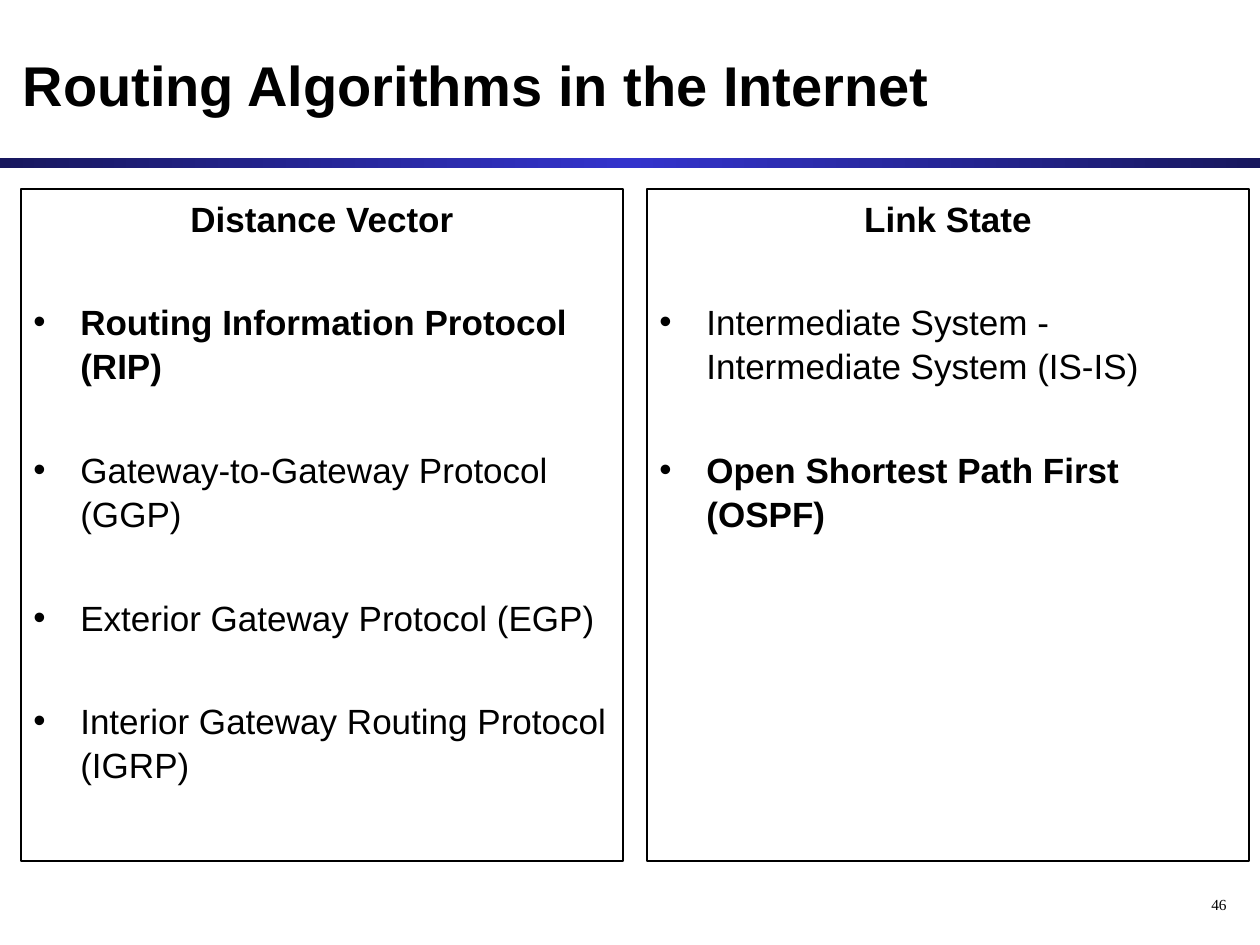
from copy import deepcopy

from lxml import etree
from pptx import Presentation
from pptx.dml.color import RGBColor
from pptx.enum.shapes import MSO_SHAPE
from pptx.enum.text import MSO_ANCHOR, MSO_AUTO_SIZE, PP_ALIGN
from pptx.oxml.ns import qn
from pptx.util import Pt

RECT = MSO_SHAPE.RECTANGLE
LEFT, CENTER, RIGHT = PP_ALIGN.LEFT, PP_ALIGN.CENTER, PP_ALIGN.RIGHT
TOP, MIDDLE = MSO_ANCHOR.TOP, MSO_ANCHOR.MIDDLE
BLACK, NAVY, BLUE = "000000", "18185E", "3333CC"
INDENT = 47

VECTOR = [
    ("Routing Information Protocol (RIP)", True),
    ("Gateway-to-Gateway Protocol (GGP)", False),
    ("Exterior Gateway Protocol (EGP)", False),
    ("Interior Gateway Routing Protocol (IGRP)", False),
]
STATE = [
    ("Intermediate System - Intermediate System (IS-IS)", False),
    ("Open Shortest Path First (OSPF)", True),
]


def px(n):
    return round(n * 914400 / 126)


def color(code):
    return RGBColor.from_string(code)


def add_bullet(para):
    props = para._p.get_or_add_pPr()
    props.set("marL", str(px(INDENT)))
    props.set("indent", str(-px(INDENT)))
    etree.SubElement(props, qn("a:buFont")).set("typeface", "Arial")
    etree.SubElement(props, qn("a:buChar")).set("char", "•")


def write(para, text, size=20, font="Arial", bold=False, align=LEFT,
          before=0, line=1.0, bullet=False):
    if bullet:
        add_bullet(para)
    para.alignment = align
    para.space_before = Pt(before)
    para.line_spacing = line
    run = para.add_run()
    run.text = text
    run.font.size, run.font.name, run.font.bold = Pt(size), font, bold
    run.font.color.rgb = color(BLACK)


def add_rect(slide, box):
    shape = slide.shapes.add_shape(RECT, *map(px, box))
    shape.shadow.inherit = False
    return shape


def add_title(slide, box, text):
    title = slide.shapes.title
    title.left, title.top, title.width, title.height = map(px, box)
    frame = title.text_frame
    frame.auto_size = MSO_AUTO_SIZE.NONE
    frame.vertical_anchor = MIDDLE
    write(frame.paragraphs[0], text, size=32, bold=True)


def add_band(slide, box):
    band = add_rect(slide, box)
    band.line.fill.background()
    band.fill.gradient()
    band.fill.gradient_angle = 0
    first = band.fill.gradient_stops[0]._gs
    first.addnext(deepcopy(first))
    for stop, place, code in zip(band.fill.gradient_stops,
                                 (0, 0.5, 1), (NAVY, BLUE, NAVY)):
        stop.position = place
        stop.color.rgb = color(code)


def add_panel(slide, box, head, items):
    panel = add_rect(slide, box)
    panel.fill.background()
    panel.line.color.rgb = color(BLACK)
    panel.line.width = Pt(0.75)
    frame = panel.text_frame
    frame.word_wrap = True
    frame.vertical_anchor = TOP
    write(frame.paragraphs[0], head, bold=True, align=CENTER, line=1.05)
    for text, bold in items:
        write(frame.add_paragraph(), text, bold=bold, before=34,
              line=1.05, bullet=True)


def add_number(slide, box, text):
    frame = slide.shapes.add_textbox(*map(px, box)).text_frame
    frame.word_wrap = True
    write(frame.paragraphs[0], text, size=8.8, font="Times New Roman",
          align=RIGHT, line=0.8)


def main():
    deck = Presentation()
    deck.slide_width, deck.slide_height = px(1260), px(945)
    slide = deck.slides.add_slide(deck.slide_layouts[5])
    add_band(slide, (0, 158, 1260, 10))
    add_number(slide, (977, 892, 262, 32), "46")
    add_title(slide, (10, 21, 1239, 126), "Routing Algorithms in the Internet")
    columns = [("Distance Vector", VECTOR), ("Link State", STATE)]
    for i, (head, items) in enumerate(columns):
        add_panel(slide, (21 + 626 * i, 189, 602, 672), head, items)
    deck.save("out.pptx")


if __name__ == "__main__":
    main()
